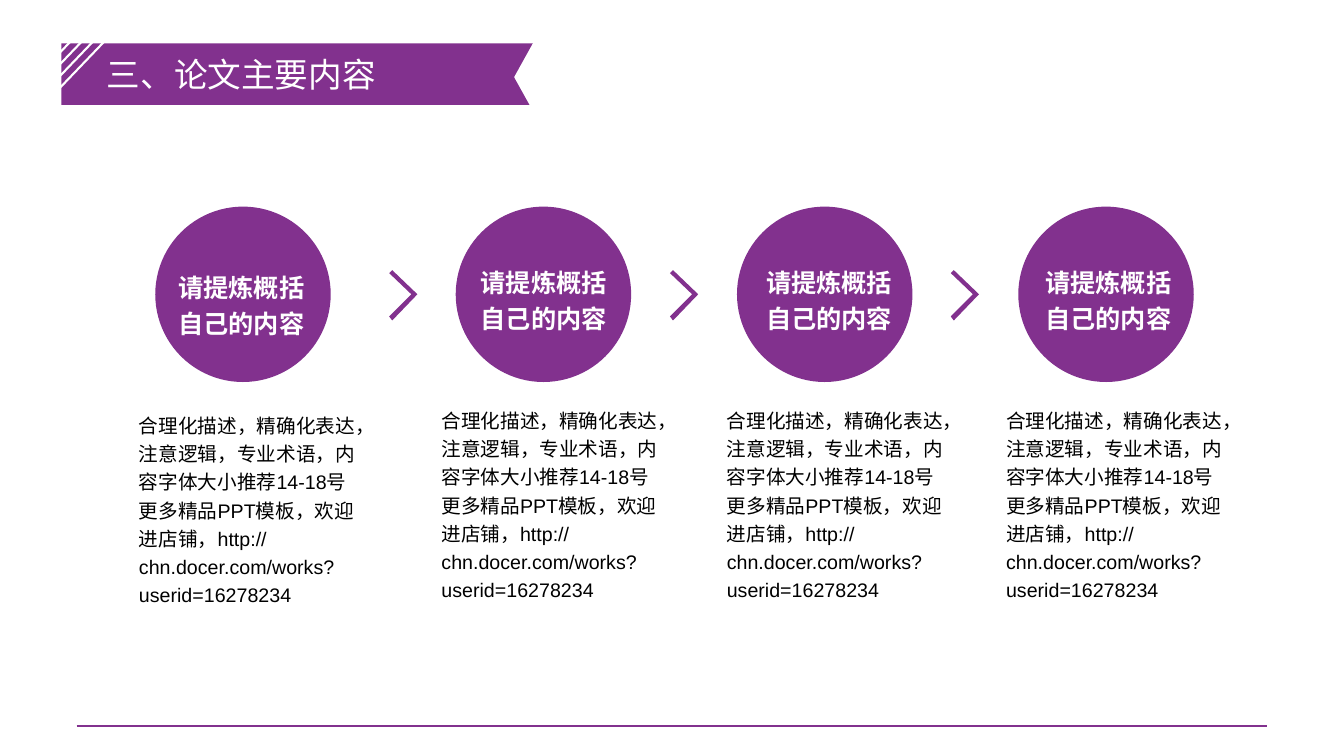
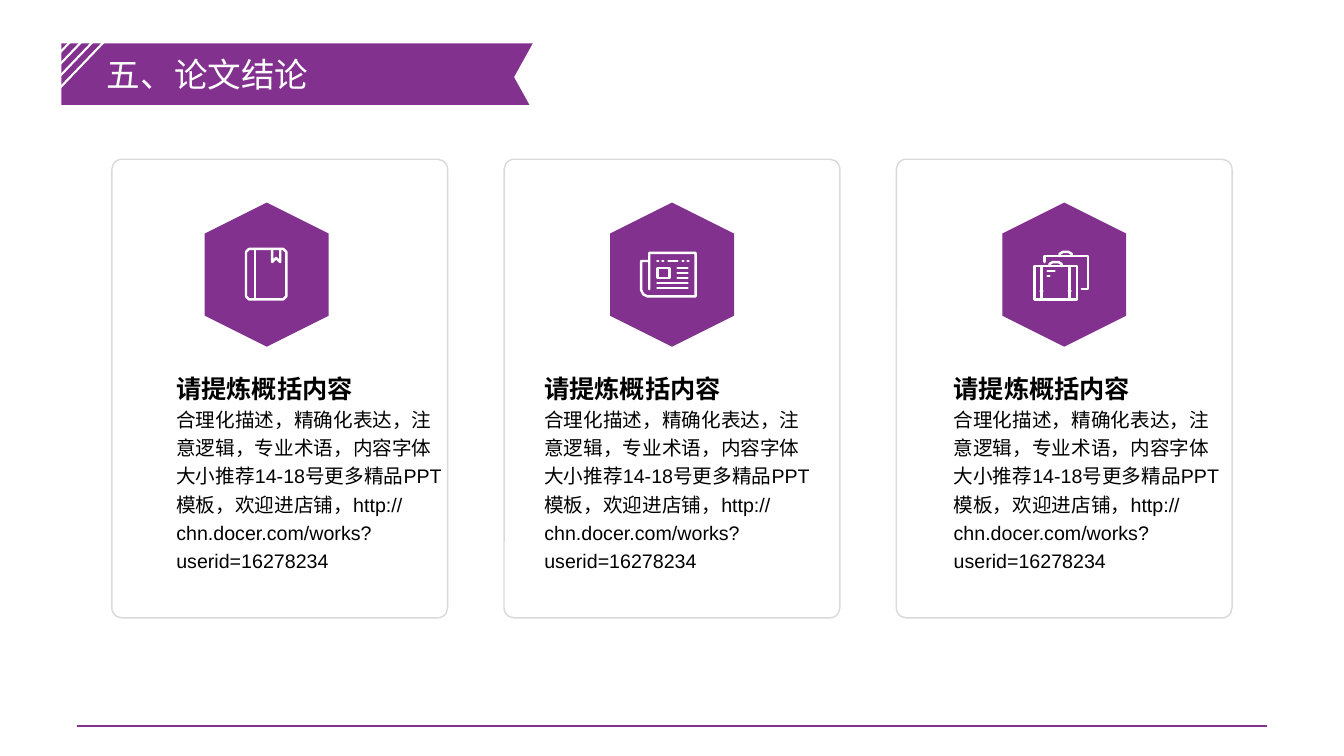
import pptx
import pptx.dml.color
import pptx.enum.shapes
import pptx.enum.text
import pptx.oxml.ns
import pptx.util
from lxml import etree

Inches, Pt = pptx.util.Inches, pptx.util.Pt
RGBColor = pptx.dml.color.RGBColor
SHAPE = pptx.enum.shapes.MSO_SHAPE
STRAIGHT = pptx.enum.shapes.MSO_CONNECTOR.STRAIGHT
qn = pptx.oxml.ns.qn

PURPLE = RGBColor(0x82, 0x31, 0x8E)
WHITE = RGBColor(0xFF, 0xFF, 0xFF)
BLACK = RGBColor(0, 0, 0)
GREY = RGBColor(0xD9, 0xD9, 0xD9)

TITLE = {"name": "Arial", "size": Pt(24), "bold": False}
HEAD = {"name": "Arial", "size": Pt(18), "bold": True}
BODY = {"name": "Arial", "size": Pt(14), "bold": False}
DETAIL = ("合理化描述，精确化表达，注意逻辑，专业术语，内容字体大小推荐14-18号"
          "更多精品PPT模板，欢迎进店铺，http://chn.docer.com/works?userid=16278234")


def paint(shape, fill=None, line=None, weight=1.5):
    """Set fill and outline, None meaning empty, and drop the shadow."""
    if hasattr(shape, "fill"):
        if fill is None:
            shape.fill.background()
        else:
            shape.fill.solid()
            shape.fill.fore_color.rgb = fill
    if line is None:
        shape.line.fill.background()
    else:
        shape.line.color.rgb = line
        shape.line.width = Pt(weight)
    etree.SubElement(shape.element.spPr, qn("a:effectLst"))


def write(frame, lines, color, wrap=True, gap=1.2):
    """Fill a text frame with (text, font values) pairs, one paragraph each."""
    frame.word_wrap = wrap
    frame.vertical_anchor = pptx.enum.text.MSO_ANCHOR.TOP
    for i, (text, look) in enumerate(lines):
        para = frame.add_paragraph() if i else frame.paragraphs[0]
        para.alignment = pptx.enum.text.PP_ALIGN.LEFT
        para.line_spacing = gap
        run = para.add_run()
        run.text = text
        for key, value in look.items():
            setattr(run.font, key, value)
        run.font.color.rgb = color


deck = pptx.Presentation()
deck.slide_width, deck.slide_height = Inches(13.33), Inches(7.5)

# Both slides: title on the ribbon
layout = deck.slide_layouts[5]
for holder in list(layout.placeholders):
    if holder.placeholder_format.idx:
        layout.shapes.element.remove(holder.element)
slides = []
for text, width in (("三、论文主要内容", 2.89), ("五、论文结论", 2.22)):
    slide = deck.slides.add_slide(layout)
    title = slide.shapes.title
    title.left, title.top = Inches(0.96), Inches(0.48)
    title.width, title.height = Inches(width), Inches(0.5)
    write(title.text_frame, [(text, TITLE)], WHITE, wrap=False, gap=1.0)
    slides.append(slide)
steps, cards = (slide.shapes for slide in slides)

# Ribbon and footer rule, moved to the layout that both slides use
rule = steps.add_connector(STRAIGHT, Inches(0.76), Inches(7.2), Inches(12.57), Inches(7.2))
paint(rule, line=PURPLE)
band = steps.add_shape(SHAPE.RECTANGLE, Inches(0.61), Inches(0.43), Inches(4.75), Inches(0.61))
paint(band, PURPLE)
notch = steps.add_shape(SHAPE.ISOSCELES_TRIANGLE, Inches(4.67), Inches(0.6),
                        Inches(1.19), Inches(0.33))
notch.rotation = 270
paint(notch, WHITE)
shared = [rule, band, notch]
for i in range(4):
    x, y = 0.96 + 0.083 * i, 0.14 + 0.03 * i
    stripe = steps.add_connector(STRAIGHT, Inches(x), Inches(y),
                                 Inches(x - 0.68), Inches(y + 0.71))
    paint(stripe, line=WHITE)
    shared.append(stripe)
for shape in shared:
    layout.shapes.element.append(shape.element)

# Slide 1: four steps, each with a circle, a label and a text
CHEVRON = [(0, 0.03), (0.03, 0), (0.28, 0.24), (0.03, 0.5), (0, 0.46), (0.22, 0.24)]
for i, (left, start, drop) in enumerate([(1.54, 1.28, 0.05), (4.52, 4.28, 0),
                                         (7.31, 7.11, 0), (10.1, 9.88, 0)]):
    disc = steps.add_shape(SHAPE.OVAL, Inches(left), Inches(2.05), Inches(1.74), Inches(1.74))
    paint(disc, PURPLE)
    if i:
        points = [(Inches(3.86 + 2.785 * (i - 1) + x), Inches(2.68 + y)) for x, y in CHEVRON]
        pen = steps.build_freeform(*points[0])
        pen.add_line_segments(points[1:])
        paint(pen.convert_to_shape(), PURPLE)
    note = steps.add_textbox(Inches(start), Inches(3.96 + drop), Inches(2.39), Inches(2.05))
    write(note.text_frame, [(DETAIL, BODY)], BLACK)
    label = steps.add_textbox(Inches(start + 0.39), Inches(2.54 + drop),
                              Inches(1.46), Inches(0.8))
    write(label.text_frame, [("请提炼概括", HEAD), ("自己的内容", HEAD)], WHITE, wrap=False)

# Slide 2: icon strokes, in inches from the centre of the hexagon
BOOK = [
    [(-0.17, -0.25), (0.17, -0.25), (0.2, -0.22), (0.2, 0.22), (0.17, 0.25),
     (-0.17, 0.25), (-0.2, 0.22), (-0.2, -0.22), (-0.17, -0.25)],
    [(-0.11, -0.25), (-0.11, 0.25)],
    [(0.06, -0.24), (0.06, -0.12), (0.1, -0.16), (0.14, -0.12), (0.14, -0.24)],
]
NEWS = [
    [(-0.22, 0.15), (-0.22, -0.21), (0.24, -0.21), (0.24, 0.22), (-0.24, 0.22),
     (-0.28, 0.2), (-0.3, 0.16), (-0.3, -0.13), (-0.22, -0.13)],
    [(-0.14, -0.06), (-0.02, -0.06), (-0.02, 0.04), (-0.14, 0.04), (-0.14, -0.06)],
    [(-0.03, -0.13), (0.06, -0.13)],
]
NEWS += [[(x, -0.13), (x + 0.01, -0.13)] for x in (-0.14, -0.09, 0.11, 0.16)]
NEWS += [[(0.06, y), (0.16, y)] for y in (-0.06, -0.01, 0.04)]
NEWS += [[(-0.14, y), (0.16, y)] for y in (0.09, 0.14)]
GRIP = [(-0.06, 0), (-0.06, -0.02), (-0.03, -0.04), (0.03, -0.04), (0.06, -0.02), (0.06, 0)]
BAGS = [
    [(-0.29, -0.08), (0.13, -0.08), (0.13, 0.25), (-0.29, 0.25), (-0.29, -0.08)],
    [(-0.19, -0.12), (-0.19, -0.18), (0.24, -0.18), (0.24, 0.15), (0.18, 0.15)],
    [(-0.16, -0.03), (-0.09, -0.03)],
    [(-0.16, 0.02), (-0.14, 0.02)],
]
BAGS += [[(x + dx, y + dy) for dx, dy in GRIP] for x, y in ((-0.08, -0.08), (0.02, -0.18))]
for x in (-0.22, 0.06):
    BAGS += [[(x, -0.08), (x, 0.25)], [(x - 0.01, 0.17), (x + 0.01, 0.17)]]

for i, (mid, start, icon) in enumerate([(2.64, 1.65, BOOK), (6.66, 5.3, NEWS),
                                        (10.55, 9.36, BAGS)]):
    hexa = cards.add_shape(SHAPE.HEXAGON, Inches(mid - 0.71), Inches(2.11),
                           Inches(1.43), Inches(1.23))
    hexa.rotation = 90
    paint(hexa, PURPLE)
    pen = None
    for stroke in icon:
        points = [(Inches(mid + x), Inches(2.72 + y)) for x, y in stroke]
        if pen is None:
            pen = cards.build_freeform(*points[0])
        else:
            pen.move_to(*points[0])
        pen.add_line_segments(points[1:], close=False)
    mark = pen.convert_to_shape()
    paint(mark, line=WHITE, weight=1.75)
    edge = mark.element.spPr.find(qn("a:ln"))
    edge.set("cap", "rnd")
    etree.SubElement(edge, qn("a:round"))
    note = cards.add_textbox(Inches(start), Inches(3.59), Inches(2.89), Inches(2.18))
    write(note.text_frame, [("请提炼概括内容", HEAD), (DETAIL, BODY)], BLACK)
    card = cards.add_shape(SHAPE.ROUNDED_RECTANGLE, Inches(1.11 + 3.89 * i), Inches(1.58),
                           Inches(3.33), Inches(4.55))
    card.adjustments[0] = 0.03
    paint(card, line=GREY, weight=1)

deck.save("out.pptx")
